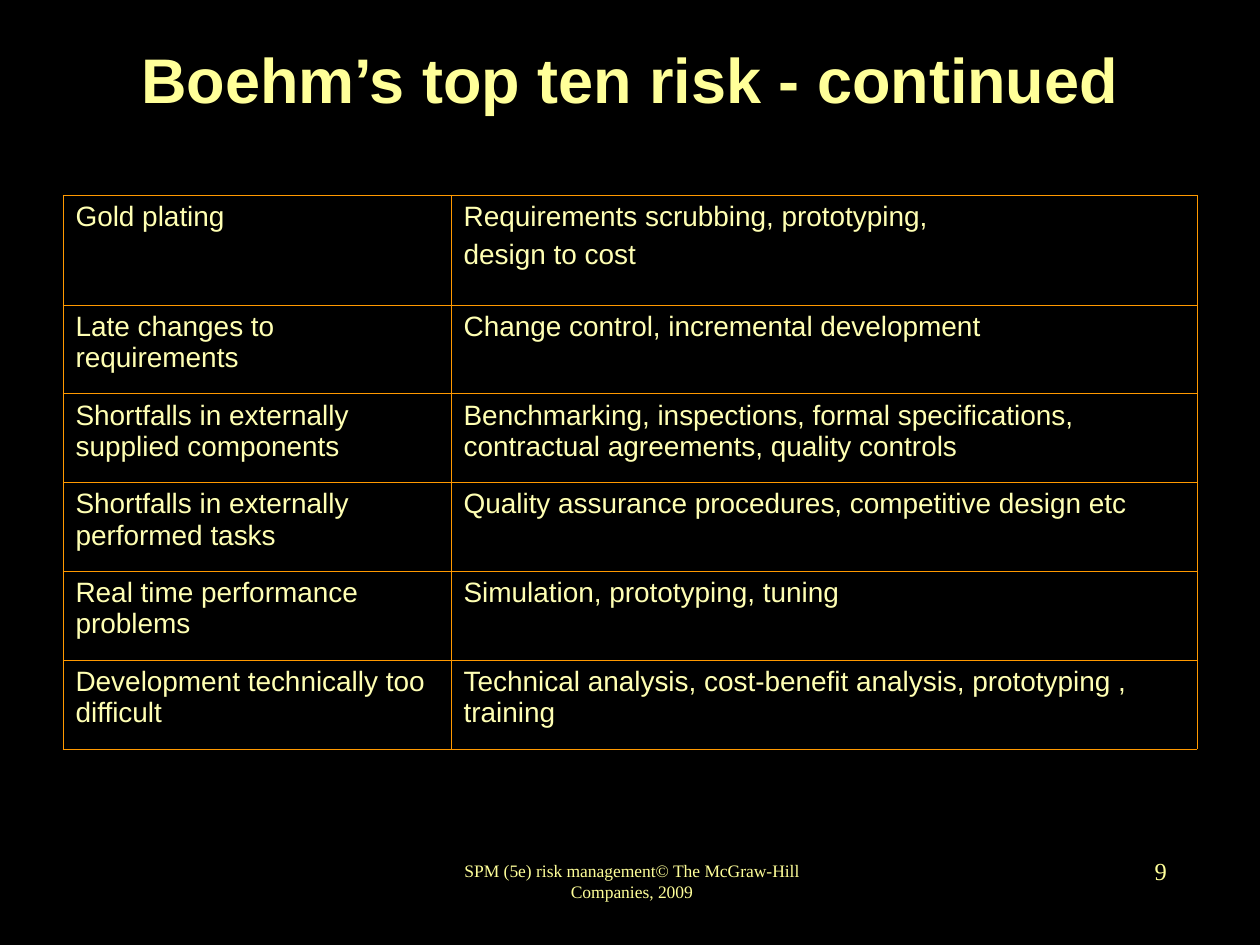
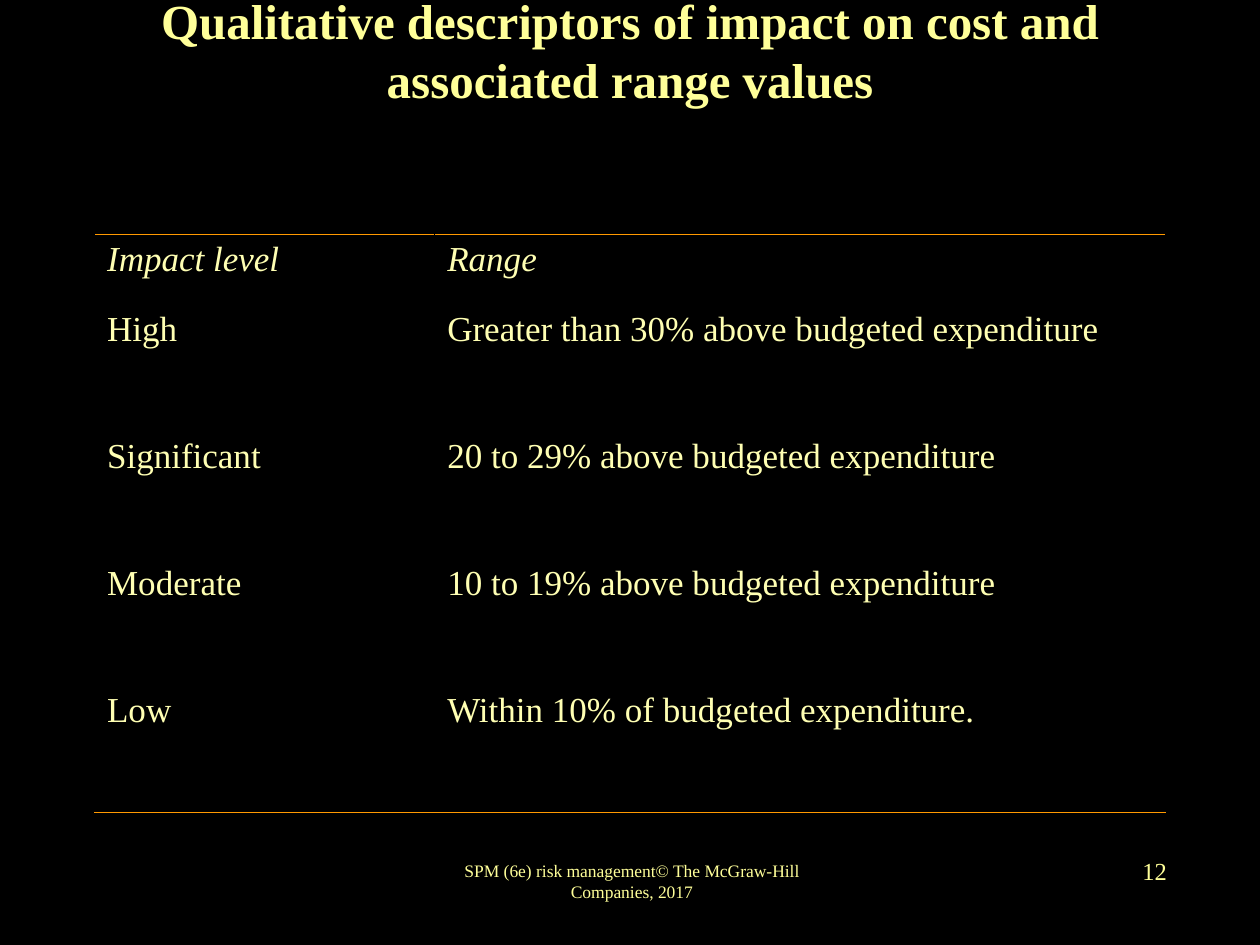
from lxml.etree import SubElement
from pptx import Presentation
from pptx.dml.color import RGBColor
from pptx.enum.text import MSO_ANCHOR, MSO_AUTO_SIZE, PP_ALIGN
from pptx.oxml.ns import qn
from pptx.util import Inches, Pt

BLACK = RGBColor(0x00, 0x00, 0x00)
YELLOW = RGBColor(0xFF, 0xFF, 0x99)
CREAM = RGBColor(0xFF, 0xFF, 0xB3)
ORANGE = RGBColor(0xFF, 0x99, 0x00)
SANS = "Arial"
SERIF = "Times New Roman"
GRID_COLUMNS, GRID_ROWS = 20, 15

BOEHM_RISKS = [
    ("Gold plating", "Requirements scrubbing, prototyping,\ndesign to cost"),
    ("Late changes to requirements", "Change control, incremental development"),
    ("Shortfalls in externally supplied components",
     "Benchmarking, inspections, formal specifications, "
     "contractual agreements, quality controls"),
    ("Shortfalls in externally performed tasks",
     "Quality assurance procedures, competitive design etc"),
    ("Real time performance problems", "Simulation, prototyping, tuning"),
    ("Development technically too difficult",
     "Technical analysis, cost-benefit analysis, prototyping , training"),
]
IMPACT_RANGES = [
    ("Impact level", "Range"),
    ("High", "Greater than 30% above budgeted expenditure"),
    ("Significant", "20 to 29% above budgeted expenditure"),
    ("Moderate", "10 to 19% above budgeted expenditure"),
    ("Low", "Within 10% of budgeted expenditure."),
]


class RiskDeck:
    def __init__(self):
        self.deck = Presentation()
        self.deck.slide_width, self.deck.slide_height = Inches(10), Inches(7.5)
        background = self.deck.slide_master.background.fill
        background.solid()
        background.fore_color.rgb = BLACK
        self.slide = None

    def across(self, columns):
        return round(self.deck.slide_width * columns / GRID_COLUMNS)

    def down(self, rows):
        return round(self.deck.slide_height * rows / GRID_ROWS)

    def area(self, left, top, width, height):
        return self.across(left), self.down(top), self.across(width), self.down(height)

    def style(self, paragraph, face, size, color, bold=False, italic=False, align=None):
        font = paragraph.font
        font.name, font.size = face, Pt(size)
        font.bold, font.italic = bold, italic
        font.color.rgb = color
        paragraph.alignment = align

    def start(self, heading, face, size, credit, number):
        self.slide = self.deck.slides.add_slide(self.deck.slide_layouts[5])
        self.label(credit, (6.86, 13.48, 6.34, 1), 10, PP_ALIGN.CENTER)
        self.label(number, (14.56, 13.32, 4.16, 1), 14, PP_ALIGN.RIGHT)
        title = self.slide.shapes.title
        title.left, title.top, title.width, title.height = self.area(1.5, 0, 17, 2.5)
        frame = title.text_frame
        frame.text = heading
        frame.auto_size = MSO_AUTO_SIZE.NONE
        frame.vertical_anchor = MSO_ANCHOR.MIDDLE
        self.style(frame.paragraphs[0], face, size, YELLOW, bold=True,
                   align=PP_ALIGN.CENTER)

    def label(self, words, box, size, align):
        frame = self.slide.shapes.add_textbox(*self.area(*box)).text_frame
        frame.text = words
        frame.word_wrap = False
        frame.vertical_anchor = MSO_ANCHOR.MIDDLE
        self.style(frame.paragraphs[0], SERIF, size, YELLOW, align=align)

    def borders(self, cell, colors):
        properties = cell._tc.get_or_add_tcPr()
        for place, (side, color) in enumerate(zip("LRTB", colors)):
            line = SubElement(properties, qn(f"a:ln{side}"), w=str(Pt(0.45)))
            fill = SubElement(line, qn("a:solidFill"))
            SubElement(fill, qn("a:srgbClr"), val=str(color))
            properties.insert(place, line)

    def table(self, content, corner, widths, heights, face, size,
              ruled=True, italic_header=False):
        box = self.area(*corner, sum(widths), sum(heights))
        table = self.slide.shapes.add_table(len(content), len(widths), *box).table
        table.first_row = table.horz_banding = False
        for column, width in zip(table.columns, widths):
            column.width = self.across(width)
        for row, height in zip(table.rows, heights):
            row.height = self.down(height)
        last = len(content) - 1
        inner = ORANGE if ruled else BLACK
        for r, entries in enumerate(content):
            for c, words in enumerate(entries):
                cell = table.cell(r, c)
                cell.text = words
                cell.fill.background()
                self.borders(cell, (inner, inner,
                                    ORANGE if r == 0 else inner,
                                    ORANGE if r == last else inner))
                for position, paragraph in enumerate(cell.text_frame.paragraphs):
                    self.style(paragraph, face, size, CREAM,
                               italic=italic_header and r == 0)
                    if position:
                        paragraph.space_before = Pt(4)


def main():
    risks = RiskDeck()

    risks.start("Boehm’s top ten risk - continued", SANS, 36,
                "SPM (5e) risk management© The McGraw-Hill Companies, 2009", "9")
    risks.table(BOEHM_RISKS, (1, 3.1), (6.16, 11.84), [1.74] + [1.41] * 5, SANS, 16)

    risks.start("Qualitative descriptors of impact on cost and associated range values\v",
                SERIF, 28,
                "SPM (6e) risk management© The McGraw-Hill Companies, 2017", "12")
    risks.table(IMPACT_RANGES, (1.5, 3.72), (5.4, 11.6), [1.1] + [2.02] * 4, SERIF, 20,
                ruled=False, italic_header=True)

    risks.deck.save("out.pptx")


if __name__ == "__main__":
    main()
